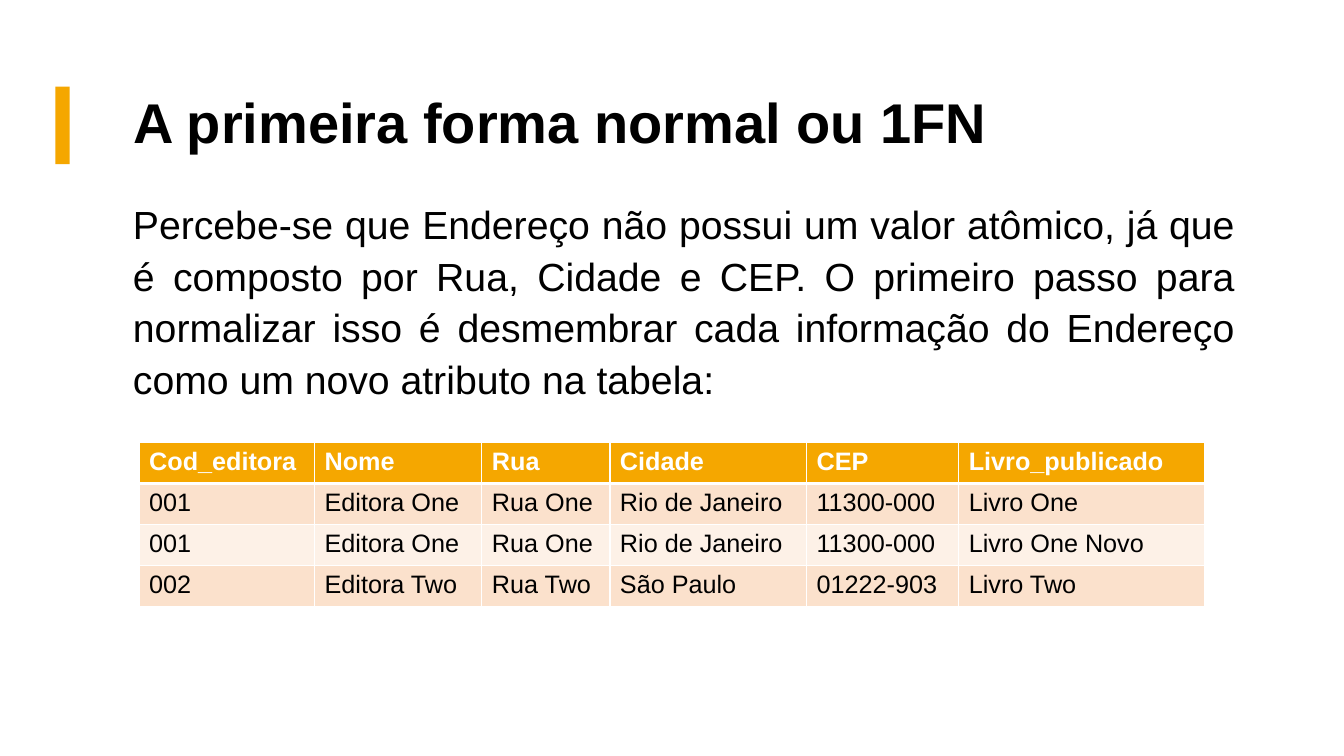
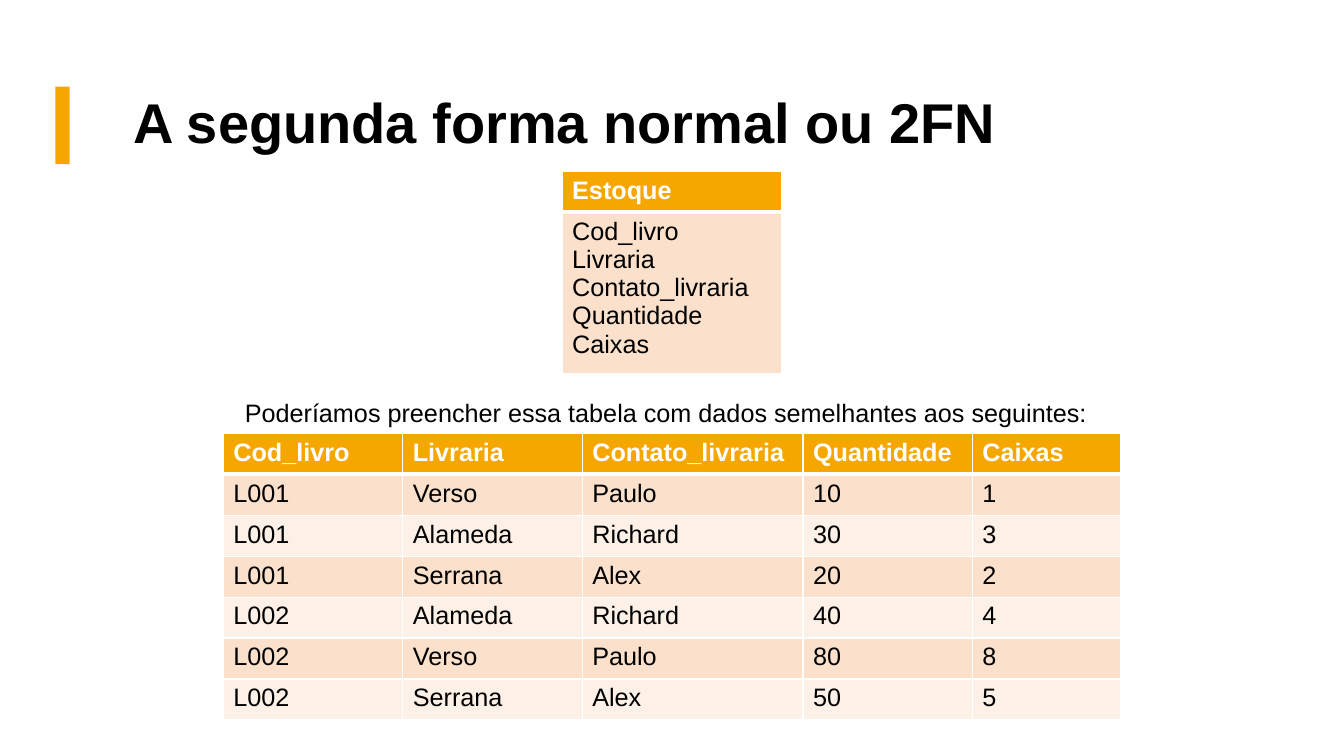
from lxml import etree
from pptx import Presentation
from pptx import util as u
from pptx.dml.color import RGBColor
from pptx.enum import shapes, text
from pptx.oxml import ns

# Shared look
WIDTH, HEIGHT = 13.33, 7.5
FONT = "Arial"
ORANGE = RGBColor(0xF5, 0xA7, 0x00)
PEACH = RGBColor(0xFB, 0xE1, 0xCC)
CREAM = RGBColor(0xFD, 0xF1, 0xE7)
WHITE = RGBColor(0xFF, 0xFF, 0xFF)
BLACK = RGBColor(0x00, 0x00, 0x00)

BAR_BOX = (0.55, 0.86, 0.14, 0.77)
TITLE_BOX = (1.22, 0.6, 11.12, 1.29)
BODY_BOX = (1.22, 1.89, 11.12, 2.3)
CAPTION_BOX = (2.33, 3.89, 8.67, 0.4)
ROW_H, TALL_ROW_H = 0.406, 1.6
THIN, THICK = 1, 3

TITLE_FONT = {"size": u.Pt(40), "bold": True, "color": BLACK}
BODY_FONT = {"size": u.Pt(28), "bold": False, "color": BLACK}
HEAD_FONT = {"size": u.Pt(18), "bold": True, "color": WHITE}
CELL_FONT = {"size": u.Pt(18), "bold": False, "color": BLACK}
TITLE_PARA = {"alignment": text.PP_ALIGN.LEFT, "line_spacing": 0.9}
BODY_PARA = {"alignment": text.PP_ALIGN.JUSTIFY, "line_spacing": 1.1,
             "space_before": u.Pt(10)}

# Content
STOCK_FIELDS = ["Cod_livro", "Livraria", "Contato_livraria", "Quantidade", "Caixas"]
SLIDES = [
    {
        "title": "A primeira forma normal ou 1FN",
        "texts": [
            (BODY_BOX, BODY_FONT, BODY_PARA,
             "Percebe-se que Endereço não possui um valor atômico, já que é "
             "composto por Rua, Cidade e CEP. O primeiro passo para normalizar "
             "isso é desmembrar cada informação do Endereço como um novo "
             "atributo na tabela:"),
        ],
        "tables": [
            {"top": 4.39, "cols": [1.74, 1.66, 1.27, 1.95, 1.51, 2.44], "rows": [
                ["Cod_editora", "Nome", "Rua", "Cidade", "CEP", "Livro_publicado"],
                ["001", "Editora One", "Rua One", "Rio de Janeiro", "11300-000", "Livro One"],
                ["001", "Editora One", "Rua One", "Rio de Janeiro", "11300-000", "Livro One Novo"],
                ["002", "Editora Two", "Rua Two", "São Paulo", "01222-903", "Livro Two"],
            ]},
        ],
    },
    {
        "title": "A segunda forma normal ou 2FN",
        "texts": [
            (CAPTION_BOX, CELL_FONT, {},
             "Poderíamos preencher essa tabela com dados semelhantes aos seguintes:"),
        ],
        "tables": [
            {"top": 1.7, "cols": [2.18], "rows": [["Estoque"], ["\n".join(STOCK_FIELDS)]]},
            {"top": 4.3, "cols": [1.78, 1.78, 2.19, 1.68, 1.47], "rows": [
                STOCK_FIELDS,
                ["L001", "Verso", "Paulo", "10", "1"],
                ["L001", "Alameda", "Richard", "30", "3"],
                ["L001", "Serrana", "Alex", "20", "2"],
                ["L002", "Alameda", "Richard", "40", "4"],
                ["L002", "Verso", "Paulo", "80", "8"],
                ["L002", "Serrana", "Alex", "50", "5"],
            ]},
        ],
    },
]


def inches(box):
    return [u.Inches(v) for v in box]


def write(tf, words, font, para):
    """Put words in a text frame, one paragraph a line."""
    tf.text = words
    for p in tf.paragraphs:
        for name, value in para.items():
            setattr(p, name, value)
        for r in p.runs:
            r.font.name = FONT
            r.font.size, r.font.bold = font["size"], font["bold"]
            r.font.color.rgb = font["color"]


def set_borders(cell, top, bottom):
    tc_pr = cell._tc.get_or_add_tcPr()
    for side, points in (("L", THIN), ("R", THIN), ("T", top), ("B", bottom)):
        ln = etree.SubElement(tc_pr, ns.qn(f"a:ln{side}"), w=str(u.Pt(points)))
        fill = etree.SubElement(ln, ns.qn("a:solidFill"))
        etree.SubElement(fill, ns.qn("a:srgbClr"), val=str(WHITE))


def add_title(s, words):
    bar = s.shapes.add_shape(shapes.MSO_SHAPE.RECTANGLE, *inches(BAR_BOX))
    bar.shadow.inherit = False
    bar.fill.solid()
    bar.fill.fore_color.rgb = ORANGE
    bar.line.fill.background()

    title = s.shapes.title
    title.left, title.top, title.width, title.height = inches(TITLE_BOX)
    tf = title.text_frame
    tf.auto_size = text.MSO_AUTO_SIZE.NONE
    tf.vertical_anchor = text.MSO_ANCHOR.MIDDLE
    write(tf, words, TITLE_FONT, TITLE_PARA)


def add_text(s, box, font, para, words):
    tf = s.shapes.add_textbox(*inches(box)).text_frame
    tf.word_wrap = True
    write(tf, words, font, para)


def add_table(s, top, cols, rows):
    """Add a table centred on the slide, with a header and banded rows."""
    heights = [TALL_ROW_H if "\n" in row[0] else ROW_H for row in rows]
    width = sum(cols)
    box = inches(((WIDTH - width) / 2, top, width, sum(heights)))
    table = s.shapes.add_table(len(rows), len(cols), *box).table
    for col, col_width in zip(table.columns, cols):
        col.width = u.Inches(col_width)
    for i, (row, height) in enumerate(zip(rows, heights)):
        table.rows[i].height = u.Inches(height)
        color = ORANGE if i == 0 else (PEACH if i % 2 else CREAM)
        for j, words in enumerate(row):
            cell = table.cell(i, j)
            set_borders(cell, THICK if i == 1 else THIN, THICK if i == 0 else THIN)
            cell.fill.solid()
            cell.fill.fore_color.rgb = color
            write(cell.text_frame, words, CELL_FONT if i else HEAD_FONT, {})


def main():
    prs = Presentation()
    prs.slide_width, prs.slide_height = inches((WIDTH, HEIGHT))
    for content in SLIDES:
        s = prs.slides.add_slide(prs.slide_layouts[5])
        add_title(s, content["title"])
        for item in content["texts"]:
            add_text(s, *item)
        for item in content["tables"]:
            add_table(s, **item)
    prs.save("out.pptx")


if __name__ == "__main__":
    main()
